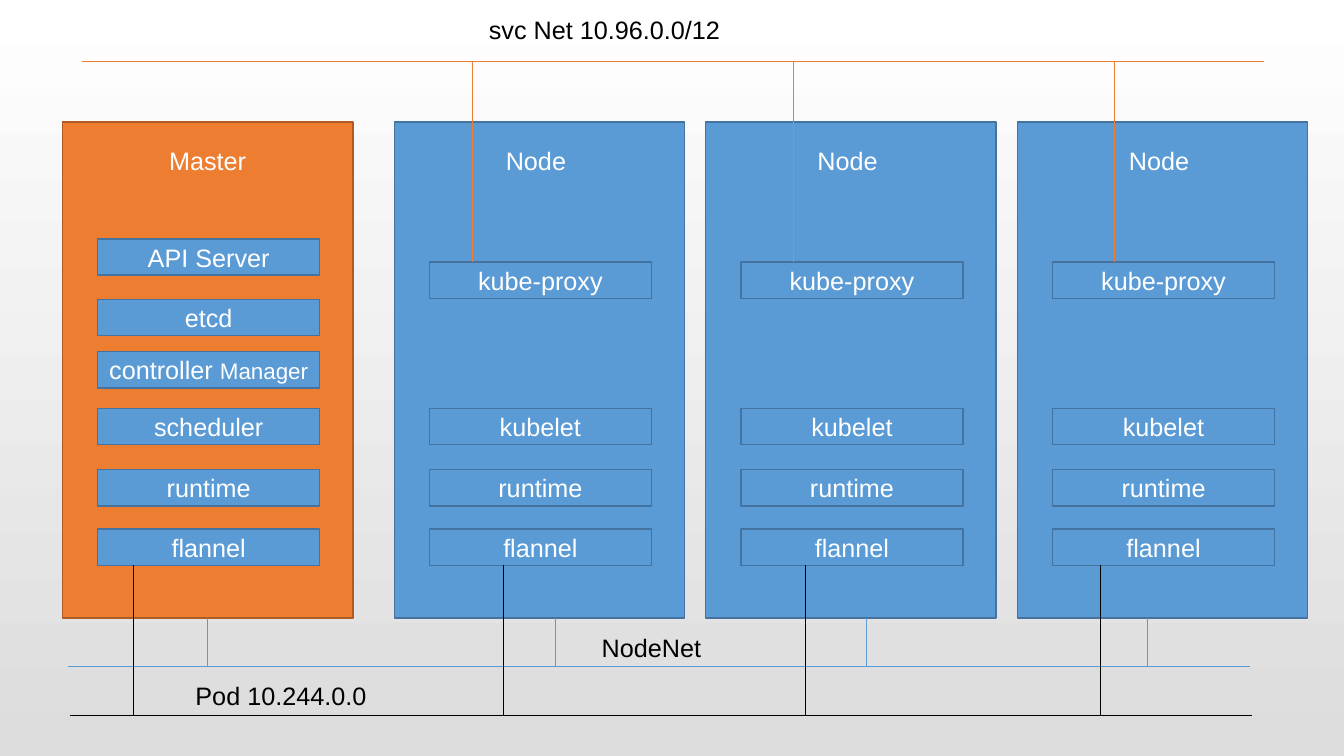
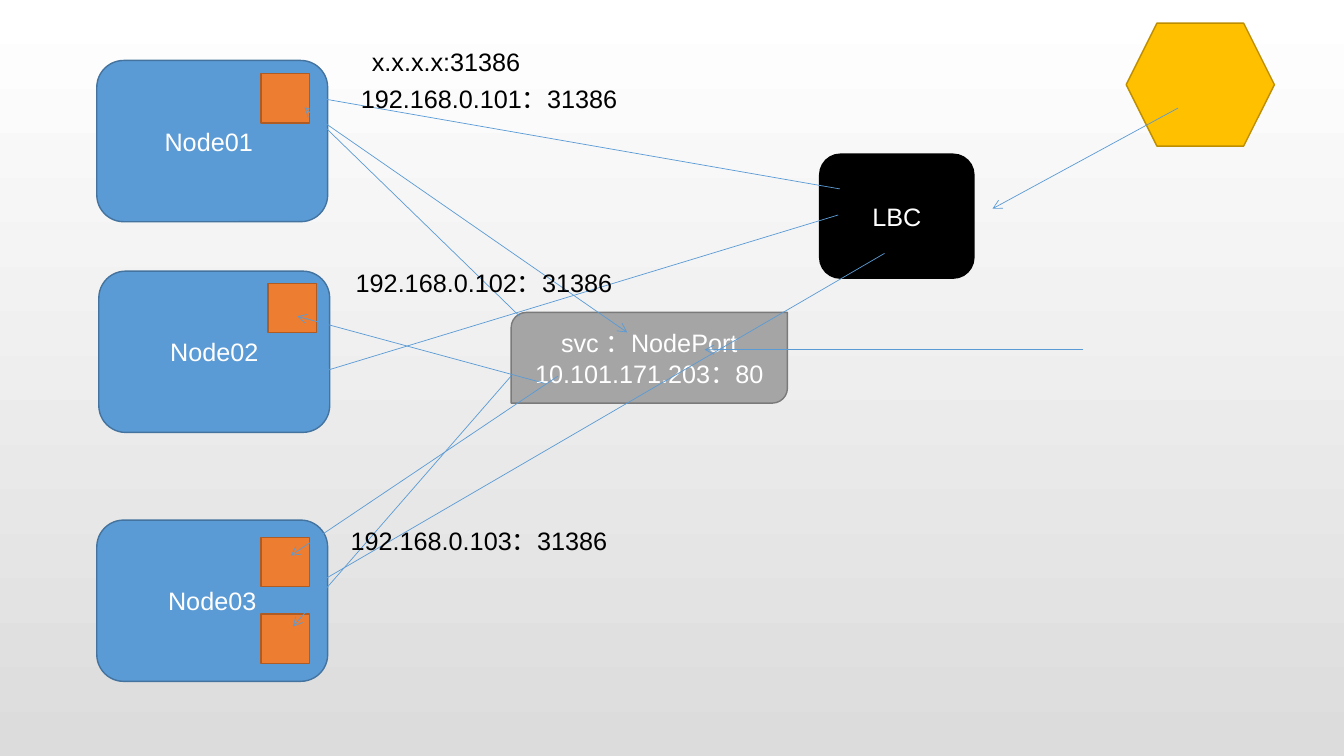
"""Two diagrams of a container cluster: its networks and its load balancing."""
from collections import namedtuple

from lxml import etree
from pptx import Presentation
from pptx import util as u
from pptx.dml.color import RGBColor
from pptx.enum import shapes, text
from pptx.oxml.ns import qn

COLORS = {
    "blue": "5B9BD5", "blue_edge": "43739E",
    "orange": "ED7D31", "orange_edge": "AF5C24",
    "gray": "A5A5A5", "gray_edge": "7A7A7A",
    "gold": "FFC000", "gold_edge": "BD8E00",
    "black": "000000", "black_edge": "000000",
    "white": "FFFFFF", "mist": "DCDCDC",
}
FONT = "Arial"
KIND = shapes.MSO_SHAPE


class Box(namedtuple("Box", "left top width height")):
    """A rectangle in inches."""

    def at(self, across, down):
        """Return the point at these shares of the width and height."""
        return self.left + across * self.width, self.top + down * self.height


def color(name):
    """Look up a colour by name."""
    return RGBColor.from_string(COLORS[name])


def format_text(frame, ink, align=None):
    """Give every paragraph and run of a frame the shared text style."""
    frame.word_wrap = True
    for para in frame.paragraphs:
        para.alignment = align
        for span in para.runs:
            span.font.name, span.font.size = FONT, u.Pt(18)
            span.font.color.rgb = color(ink)


def add_block(page, box, words="", fill="blue", kind=KIND.RECTANGLE):
    """Draw a filled shape with centred white text."""
    block = page.shapes.add_shape(kind, *map(u.Inches, box))
    block.shadow.inherit = False
    block.fill.solid()
    block.fill.fore_color.rgb = color(fill)
    block.line.color.rgb = color(fill + "_edge")
    block.line.width = u.Pt(1)
    frame = block.text_frame
    frame.vertical_anchor = text.MSO_ANCHOR.MIDDLE
    frame.margin_left = frame.margin_right = u.Inches(0.05)
    if words:
        frame.text = words
        format_text(frame, "white", text.PP_ALIGN.CENTER)
    return block


def add_label(page, left, top, width, words):
    """Write one line of black text."""
    label = page.shapes.add_textbox(*map(u.Inches, (left, top, width, 0.4)))
    label.text_frame.text = words
    format_text(label.text_frame, "black")
    label.text_frame.auto_size = text.MSO_AUTO_SIZE.SHAPE_TO_FIT_TEXT


def add_wire(page, start, end, ink="blue", arrow=False):
    """Draw a thin straight line, with an open arrowhead on request."""
    wire = page.shapes.add_connector(
        shapes.MSO_CONNECTOR.STRAIGHT, *map(u.Inches, (*start, *end)))
    wire.line.color.rgb = color(ink)
    wire.line.width = u.Pt(0.5)
    props = wire.element.spPr
    if arrow:
        etree.SubElement(props.find(qn("a:ln")), qn("a:tailEnd"), type="arrow")
    etree.SubElement(props, qn("a:effectLst"))


def add_server(page, box, name, fill, parts):
    """Draw a server with its parts, given as text and offset from its top."""
    frame = add_block(page, box, name, fill).text_frame
    frame.vertical_anchor = text.MSO_ANCHOR.TOP
    frame.margin_top = u.Inches(0.23)
    chips = {}
    for words, offset in parts.items():
        chip = Box(box.left + 0.35, box.top + offset, 2.2, 0.36)
        chips[words] = add_block(page, chip, words)
    return chips


def add_network(page, left, level, reach, drops, ink):
    """Draw a network line and the drops that tie it to the level 'reach'."""
    add_wire(page, (left, level), (left + 11.73, level), ink)
    for x in drops:
        add_wire(page, (x, reach), (x, level), ink)


def add_host(page, box, name, pods):
    """Draw a host with its pods, given as offsets from its corner."""
    add_block(page, box, name, kind=KIND.ROUNDED_RECTANGLE)
    for right, down in pods:
        add_block(page, Box(box.left + right, box.top + down, 0.48, 0.49),
                  fill="orange")


def build_networks(page):
    """Master and three nodes between the service, node and pod networks."""
    top, width, height = 1.21, 2.88, 4.92
    shared = {"runtime": 3.45, "flannel": 4.04}
    chips = add_server(
        page, Box(0.62, top, width, height), "Master", "orange",
        {"API Server": 1.16, "etcd": 1.76, "controller ": 2.28,
         "scheduler": 2.84, **shared})
    manager = chips["controller "].text_frame.paragraphs[0].add_run()
    manager.text = "Manager"
    format_text(chips["controller "].text_frame, "white",
                text.PP_ALIGN.CENTER)
    manager.font.size = u.Pt(16)
    for column in range(3):
        add_server(page, Box(3.91 + 3.09 * column, top, width, height),
                   "Node ", "blue",
                   {"kube-proxy": 1.39, "kubelet": 2.84, **shared})

    add_network(page, 0.67, 6.61, top + height,
                (2.06, 5.51, 8.59, 11.38), "blue")
    add_network(page, 0.69, 7.1, 5.61, (1.32, 4.99, 7.99, 10.91), "black")
    add_network(page, 0.81, 0.61, 2.6,
                [4.69 + 3.18 * column for column in range(3)], "orange")
    add_label(page, 5.87, 6.22, 1.77, "NodeNet")
    add_label(page, 1.84, 6.7, 2.45, "Pod 10.244.0.0")
    add_label(page, 4.75, 0.09, 2.79, "svc Net 10.96.0.0/12")


def build_balancing(page):
    """Client, load balancer and service reaching the pods on three hosts."""
    host1, host2, host3 = (Box(left, top, 2.29, 1.6) for left, top in
                           ((0.96, 0.6), (0.98, 2.69), (0.96, 5.16)))
    service = Box(5.07, 3.1, 2.74, 0.9)
    balancer = Box(8.13, 1.53, 1.53, 1.23)
    client = Box(11.17, 0.23, 1.47, 1.22)

    add_host(page, host1, "Node01 ", [(1.63, 0.13)])
    add_host(page, host2, "Node02", [(1.68, 0.12)])
    add_host(page, host3, "Node03", [(1.63, 0.17), (1.63, 0.93)])
    add_block(page, service, "svc ：NodePort\n10.101.171.203：80", "gray",
              KIND.ROUND_2_DIAG_RECTANGLE)
    add_block(page, balancer, "LBC", "black", KIND.ROUNDED_RECTANGLE)
    add_block(page, client, fill="gold", kind=KIND.HEXAGON)

    wires = [
        (service.at(2.07, 0.41), service.at(0.7, 0.41)),
        (service.at(0.03, 0.04), host1.at(0.9, 0.29)),
        (service.at(0, 0.7), host3.at(0.85, 0.66)),
        (service.at(0.12, 0.78), host2.at(0.86, 0.28)),
        (service.at(0.17, 0.7), host3.at(0.84, 0.22)),
        (client.at(0.35, 0.69), balancer.at(1.12, 0.44)),
        (host1.at(0.92, 0.32), service.at(0.42, 0.22)),
        (balancer.at(0.13, 0.28), host1.at(0.95, 0.23)),
        (balancer.at(0.12, 0.49), host2.at(0.84, 0.68)),
        (balancer.at(0.42, 0.8), host3.at(0.85, 0.48)),
    ]
    for start, end in wires:
        add_wire(page, start, end, arrow=True)

    add_label(page, 3.59, 0.41, 2.47, "x.x.x.x:31386")
    for number, (left, top) in enumerate(
            ((3.48, 0.78), (3.43, 2.6), (3.38, 5.16)), start=101):
        add_label(page, left, top, 3.4, f"192.168.0.{number}：31386")


def set_background(master):
    """Shade the master from white at the top to light gray."""
    fill = master.background.fill
    fill.gradient()
    fill.gradient_angle = 270
    for stop, name, place in zip(fill.gradient_stops, ("white", "mist"), (0, 1)):
        stop.color.rgb = color(name)
        stop.position = place


deck = Presentation()
deck.slide_width, deck.slide_height = u.Inches(13.33), u.Inches(7.5)
set_background(deck.slide_master)
for build in (build_networks, build_balancing):
    build(deck.slides.add_slide(deck.slide_layouts[6]))
deck.save("out.pptx")
